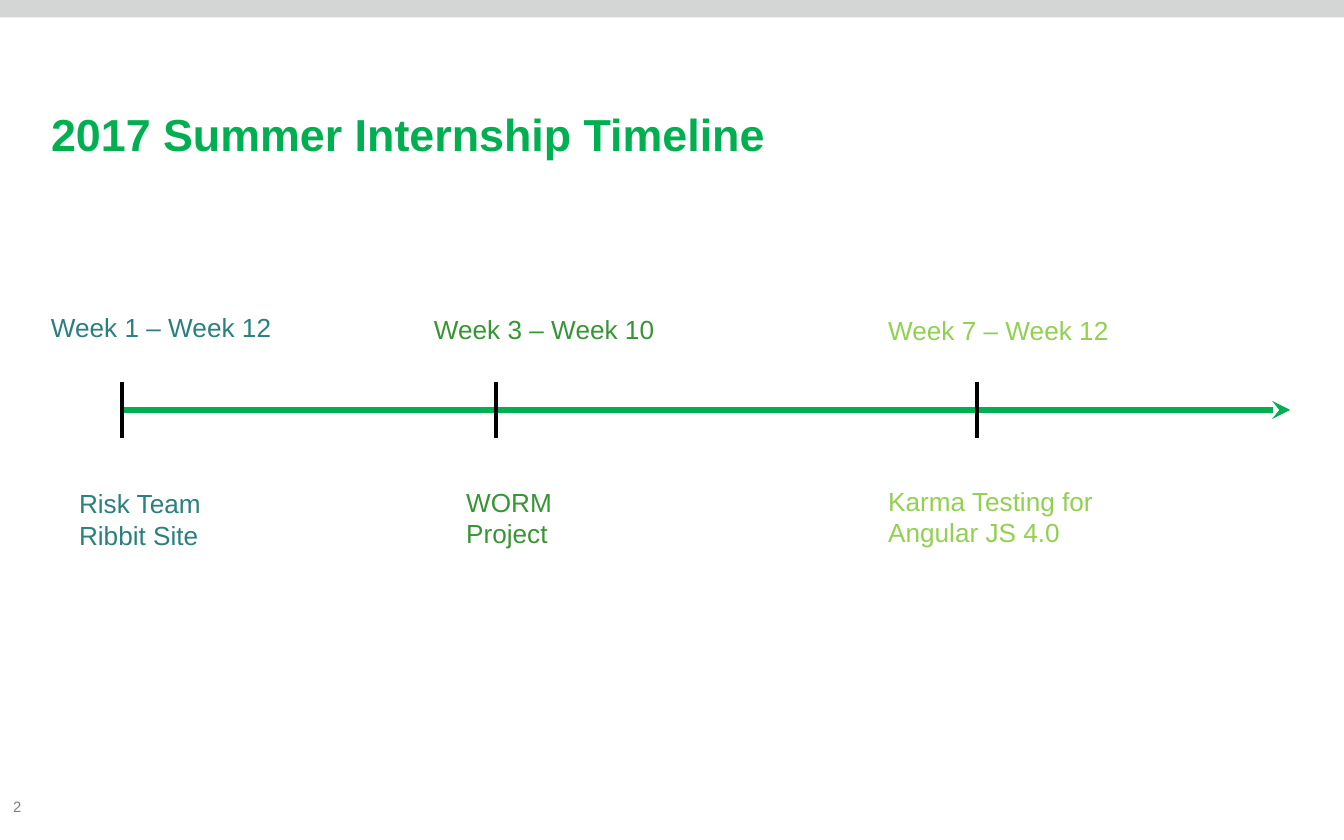
"""Builds the internship timeline slide."""
from lxml.etree import SubElement
from pptx import Presentation
from pptx.dml.color import RGBColor
from pptx.enum.shapes import MSO_CONNECTOR, MSO_SHAPE
from pptx.enum.text import MSO_ANCHOR, PP_ALIGN
from pptx.oxml.ns import qn
from pptx.util import Pt

EMU_PER_PX = 9144
PAGE_WIDTH, PAGE_HEIGHT = 1000, 625
GREEN, BLACK, GREY = "00B050", "000000", "808080"
MILESTONES = [
    {"tick": 2, "color": "29807F",
     "period": ("Week 1 – Week 12", (-61, 0, 191, 48)),
     "project": ("Risk Team Ribbit Site", (-40, 131, 123, 78))},
    {"tick": 280, "color": "379533",
     "period": ("Week 3 – Week 10", (224, 1, 188, 48)),
     "project": ("WORM Project", (248, 130, 108, 50))},
    {"tick": 638, "color": "92D050",
     "period": ("Week 7 – Week 12", (562, 2, 196, 48)),
     "project": ("Karma Testing for Angular JS 4.0", (562, 129, 221, 78))},
]


def px(*lengths):
    """Turn px lengths into a list of EMU."""
    return [length * EMU_PER_PX for length in lengths]


def paint(color_format, color):
    """Give a color format a hex color."""
    color_format.rgb = RGBColor.from_string(color)


def write(shape, text, size, color, bold=False, anchor=MSO_ANCHOR.TOP):
    """Put formatted text into a shape."""
    frame = shape.text_frame
    frame.text = text
    frame.word_wrap = True
    frame.vertical_anchor = anchor
    para = frame.paragraphs[0]
    para.alignment = PP_ALIGN.LEFT
    span = para.runs[0]
    span.font.name = "Arial"
    span.font.size = Pt(size)
    span.font.bold = bold
    paint(span.font.color, color)


def add_label(page, box, text, size, color, anchor=MSO_ANCHOR.TOP):
    """Add a text box."""
    write(page.shapes.add_textbox(*px(*box)), text, size, color, anchor=anchor)


def add_line(page, start, end, color, width):
    """Add a straight line without a shadow."""
    line = page.shapes.add_connector(MSO_CONNECTOR.STRAIGHT, *px(*start, *end))
    paint(line.line.color, color)
    line.line.width = Pt(width)
    SubElement(line._element.spPr, qn("a:effectLst"))
    return line


def add_frame(page, box):
    """Add the top band, the title and the page number."""
    left, top, width, height = box
    band = page.shapes.add_shape(MSO_SHAPE.RECTANGLE, *px(left, top, width, 13))
    band.shadow.inherit = False
    band.fill.solid()
    paint(band.fill.fore_color, "D4D6D5")
    band.line.fill.background()
    title = page.shapes.title
    title.left, title.top, title.width, title.height = px(left + 28, top + 74, 932, 50)
    write(title, "2017 Summer Internship Timeline", 24, GREEN, bold=True)
    add_label(page, (left, top + height - 37, 47, 24), "2", 8, GREY, MSO_ANCHOR.MIDDLE)


def add_timeline(page, box):
    """Add the arrow with its ticks, periods and projects."""
    left, top, width, _ = box
    axis = top + 78
    arrow = add_line(page, (left, axis), (left + width, axis), GREEN, 3.25)
    SubElement(arrow.line._get_or_add_ln(), qn("a:tailEnd"), type="stealth")
    for milestone in MILESTONES:
        tick = left + milestone["tick"]
        add_line(page, (tick, axis - 21), (tick, axis + 21), BLACK, 2)
        for key in ("period", "project"):
            text, (x, y, label_width, label_height) = milestone[key]
            label_box = (left + x, top + y, label_width, label_height)
            add_label(page, label_box, text, 14, milestone["color"])


def main():
    """Build and save the deck."""
    deck = Presentation()
    deck.slide_width, deck.slide_height = px(PAGE_WIDTH, PAGE_HEIGHT)
    page = deck.slides.add_slide(deck.slide_layouts[5])
    add_frame(page, (0, 0, PAGE_WIDTH, PAGE_HEIGHT))
    add_timeline(page, (89, 227, 871, 209))
    deck.save("out.pptx")


if __name__ == "__main__":
    main()
